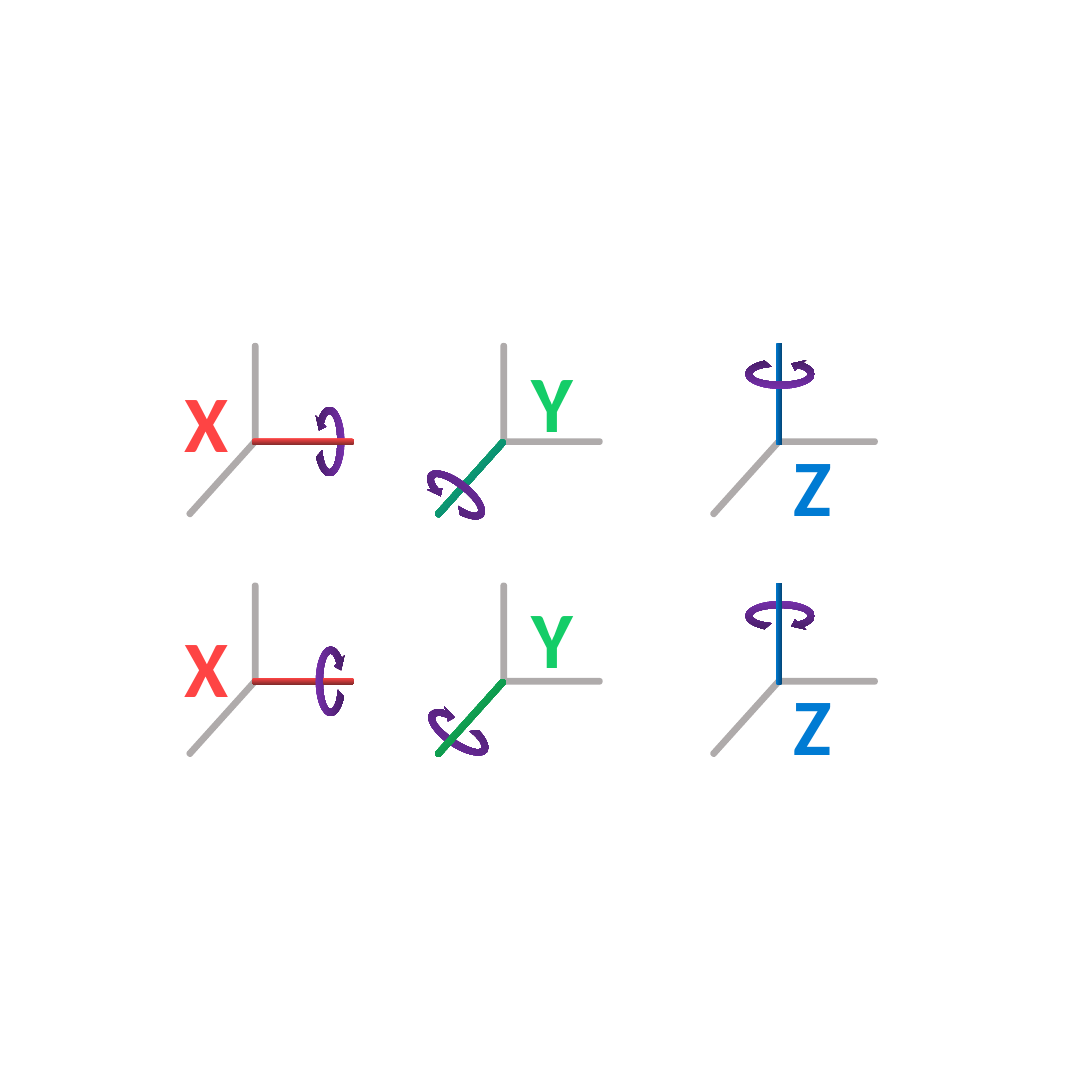
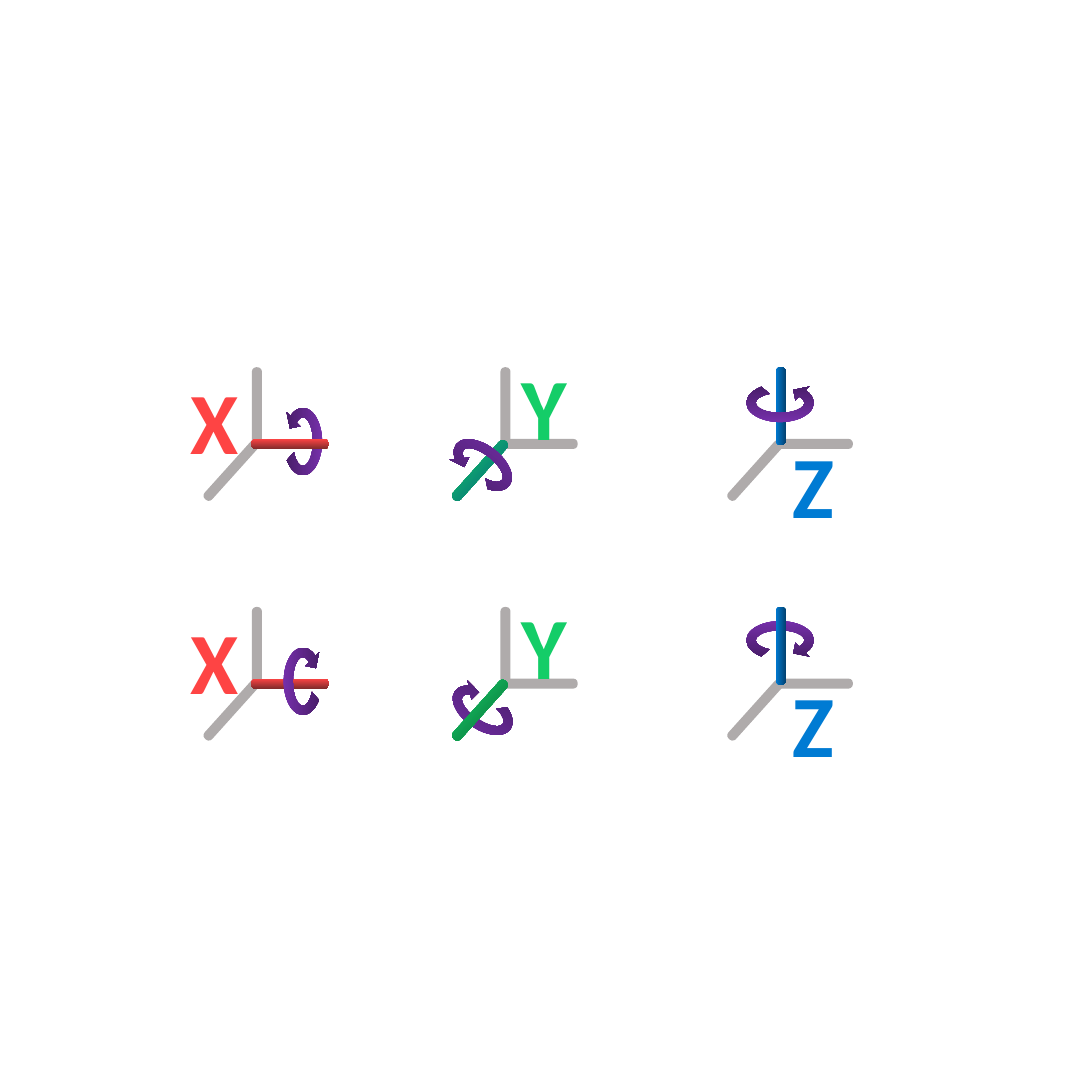
from pptx import Presentation
from pptx.dml.color import RGBColor
from pptx.enum.shapes import MSO_SHAPE
from pptx.enum.text import MSO_ANCHOR, PP_ALIGN
from pptx.util import Inches, Pt

BAR_SHAPE = MSO_SHAPE.ROUNDED_RECTANGLE
RING_SHAPE = MSO_SHAPE.CIRCULAR_ARROW
CENTER = PP_ALIGN.CENTER
TOP = MSO_ANCHOR.TOP

COLORS = {
    "grey": "AFABAB",
    "red": "FE4444", "dark red": "832B2B",
    "green": "14CD68", "teal": "035C7D", "dark green": "0B6E38",
    "blue": "007BD3", "dark blue": "034373",
    "purple": "7B32B2", "dark purple": "401A5D",
}
FONT = "Calibri"
SLIDE_SIDE = 9.84
ROW_PITCH = 2.16
ORIGIN_X = {"X": 2.27, "Y": 4.51, "Z": 6.99}
BAR_ANGLES = {"X": 90, "Y": 42, "Z": 0}
AXIS_FILLS = {
    "X": [("red", "dark red")] * 2,
    "Y": [("green", "teal"), ("green", "dark green")],
    "Z": [("blue", "dark blue")] * 2,
}
RING_FILL = ("purple", "dark purple")
RING_ADJUSTMENTS = (0.191, 13.043, 175.65, 29.574, 0.201)
BAR_ROUNDING = (0.426,)

RING_TURNS = {
    "X": [(0, "h"), (0, "")],
    "Y": [(308, "h"), (304, "")],
    "Z": [(90, "h"), (270, "hv")],
}
RINGS_BEHIND = {("X", 0), ("Y", 1), ("Z", 1)}
LABEL_HEIGHTS = {"X": 0.75, "Y": 0.75, "Z": 0.54}

SLIDES = [
    {
        "bar": (0.06, 0.92),
        "top": 3.09,
        "offsets": {"X": (0.43, 0.43), "Y": (-0.3, 0.76), "Z": (0, 0)},
        "ring": (0.34, 0.7),
        "rings": {"X": [(2.8, 3.63), (2.81, 5.79)],
                  "Y": [(3.94, 4.11), (3.96, 6.25)],
                  "Z": [(6.86, 3.02), (6.86, 5.2)]},
        "labels": {"X": (1.53, [3.31, 5.51]),
                   "Y": (4.64, [3.13, 5.25]),
                   "Z": (6.99, [3.88, 6.04])},
        "size": 52,
    },
    {
        "bar": (0.09, 0.7),
        "top": 3.31,
        "offsets": {"X": (0.3, 0.34), "Y": (-0.23, 0.58), "Z": (0, 0)},
        "ring": (0.44, 0.7),
        "rings": {"X": [(2.51, 3.63), (2.51, 5.79)],
                  "Y": [(4.13, 3.84), (4.13, 6.05)],
                  "Z": [(6.81, 3.28), (6.81, 5.42)]},
        "labels": {"X": (1.6, [3.26, 5.42]),
                   "Y": (4.57, [3.13, 5.29]),
                   "Z": (6.99, [3.84, 5.99])},
        "size": 56.7,
    },
]


def color(name):
    return RGBColor.from_string(COLORS[name])


def add_part(slide, preset, position, size, fill, adjustments, angle=0, flip=""):
    part = slide.shapes.add_shape(preset, *map(Inches, position + size))
    part.shadow.inherit = False
    part.line.fill.background()
    part.rotation = angle
    for index, value in enumerate(adjustments):
        part.adjustments[index] = value
    for direction in flip:
        part.element.spPr.xfrm.set("flip" + direction.upper(), "1")
    if len(fill) == 1:
        part.fill.solid()
        part.fill.fore_color.rgb = color(fill[0])
    else:
        part.fill.gradient()
        part.fill.gradient_angle = 0
        for stop, name in zip(part.fill.gradient_stops, fill):
            stop.color.rgb = color(name)


def add_label(slide, text, position, size, points, ink):
    frame = slide.shapes.add_textbox(*map(Inches, position + size)).text_frame
    frame.word_wrap = False
    frame.vertical_anchor = TOP
    paragraph = frame.paragraphs[0]
    paragraph.alignment = CENTER
    run = paragraph.add_run()
    run.text = text
    run.font.name = FONT
    run.font.size = Pt(points)
    run.font.bold = True
    run.font.color.rgb = color(ink)


def add_rings(slide, plan, behind):
    for axis, positions in plan["rings"].items():
        for row, position in enumerate(positions):
            if ((axis, row) in RINGS_BEHIND) == behind:
                angle, flip = RING_TURNS[axis][row]
                add_part(slide, RING_SHAPE, position, plan["ring"], RING_FILL,
                         RING_ADJUSTMENTS, angle, flip)


def add_axes(slide, plan, axis, row):
    for bar in sorted(BAR_ANGLES, key=lambda name: name == axis):
        dx, dy = plan["offsets"][bar]
        position = (ORIGIN_X[axis] + dx, plan["top"] + row * ROW_PITCH + dy)
        fill = AXIS_FILLS[axis][row] if bar == axis else ("grey",)
        add_part(slide, BAR_SHAPE, position, plan["bar"], fill,
                 BAR_ROUNDING, BAR_ANGLES[bar])


def build_slide(deck, plan):
    slide = deck.slides.add_slide(deck.slide_layouts[6])
    add_rings(slide, plan, behind=True)
    for axis in ORIGIN_X:
        for row in range(2):
            add_axes(slide, plan, axis, row)
    add_rings(slide, plan, behind=False)
    for axis, (left, tops) in plan["labels"].items():
        for row, top in enumerate(tops):
            add_label(slide, axis, (left, top), (0.67, LABEL_HEIGHTS[axis]),
                      points=plan["size"], ink=AXIS_FILLS[axis][row][0])


def main():
    deck = Presentation()
    deck.slide_width = deck.slide_height = Inches(SLIDE_SIDE)
    for plan in SLIDES:
        build_slide(deck, plan)
    deck.save("out.pptx")


if __name__ == "__main__":
    main()
